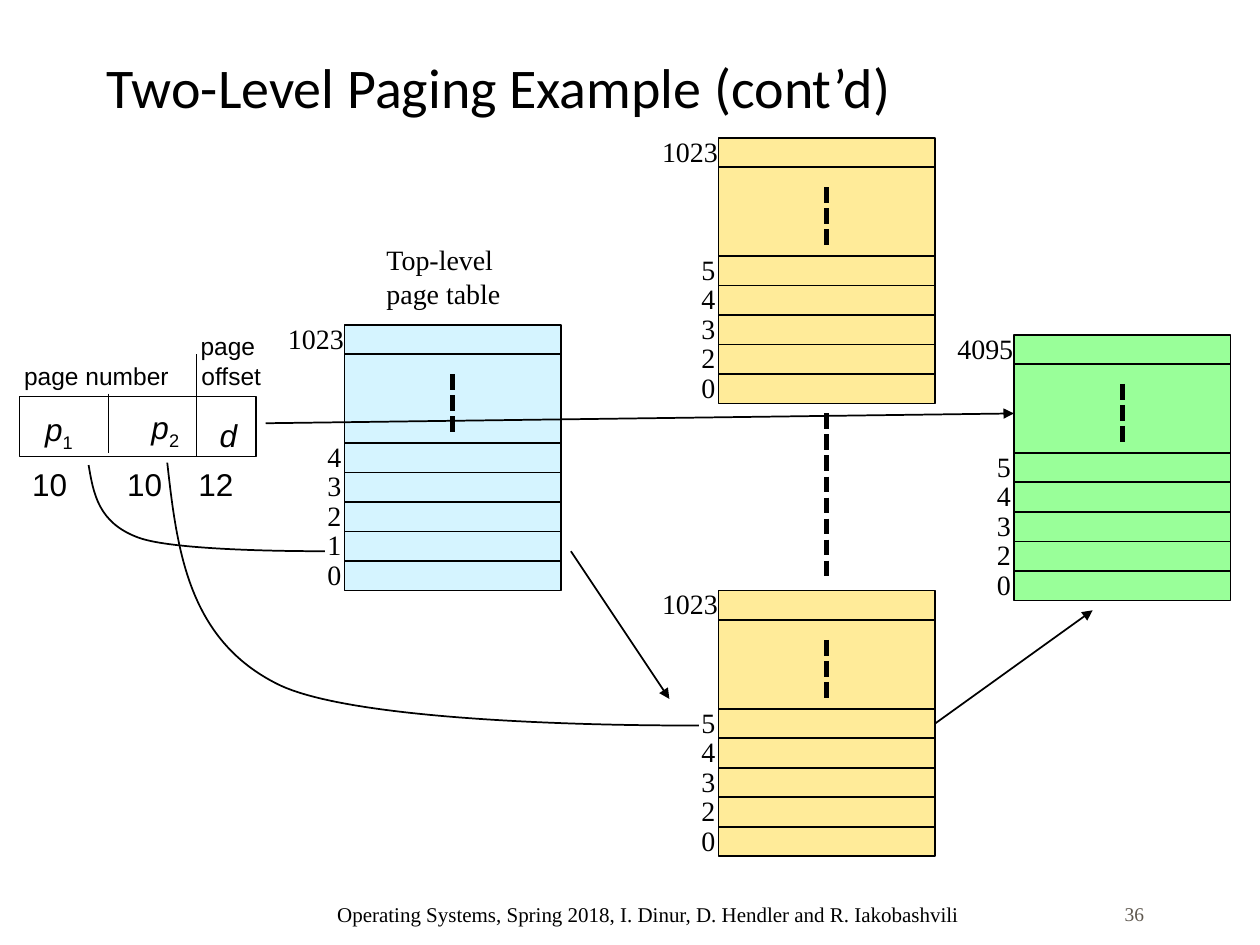
import pptx
import pptx.dml.color
import pptx.enum.dml
import pptx.enum.shapes
import pptx.enum.text
import pptx.oxml
import pptx.oxml.ns
import pptx.util

COLORS = {
    "ink": "000000", "paper": "FFFFFF", "number": "5E574E",
    "top": "D5F4FF", "second": "FFEB99", "frame": "99FF99",
}
COLS, ROWS = 128, 96
ALIGN = pptx.enum.text.PP_ALIGN
ANCHOR = pptx.enum.text.MSO_ANCHOR
qn = pptx.oxml.ns.qn


def rgb(name):
    return pptx.dml.color.RGBColor.from_string(COLORS[name])


def write(tf, text, size=16, font="Times New Roman", color="ink", italic=False,
          align=ALIGN.LEFT, spacing=None, sub=""):
    p = tf.paragraphs[0]
    p.alignment = align
    p.line_spacing = spacing
    for i, line in enumerate(text.split("\n")):
        if i:
            p.add_line_break()
        p.add_run().text = line
    if sub:
        r = p.add_run()
        r.text = sub
        r._r.get_or_add_rPr().set("baseline", "-25000")
    for r in p.runs:
        r.font.size = pptx.util.Pt(size)
        r.font.name = font
        r.font.color.rgb = rgb(color)
        r.font.italic = italic and r.text != sub


class Diagram:
    def __init__(self, prs):
        self.s = prs.slides.add_slide(prs.slide_layouts[6])
        self.shapes = self.s.shapes
        self.cw = prs.slide_width / COLS
        self.rh = prs.slide_height / ROWS

    def at(self, *lengths):
        return [round(v * (self.rh if i % 2 else self.cw)) for i, v in enumerate(lengths)]

    def outline(self, sp, width):
        sp.line.color.rgb = rgb("ink")
        sp.line.width = pptx.util.Pt(width)

    def text(self, x, y, w, h, text, anchor=ANCHOR.TOP, wrap=True, grow=True, **style):
        tf = self.shapes.add_textbox(*self.at(x, y, w, h)).text_frame
        tf.word_wrap = wrap
        tf.vertical_anchor = anchor
        if grow:
            tf.auto_size = pptx.enum.text.MSO_AUTO_SIZE.SHAPE_TO_FIT_TEXT
        write(tf, text, **style)

    def field(self, x, y, w, h, text, **style):
        self.text(x, y, w, h, text, anchor=ANCHOR.MIDDLE, font="Arial",
                  align=ALIGN.CENTER, **style)

    def box(self, x, y, w, h, fill, width=1):
        sp = self.shapes.add_shape(pptx.enum.shapes.MSO_SHAPE.RECTANGLE, *self.at(x, y, w, h))
        sp.shadow.inherit = False
        sp.fill.solid()
        sp.fill.fore_color.rgb = rgb(fill)
        self.outline(sp, width)

    def line(self, x1, y1, x2, y2, width=1, dashed=False, arrow=False):
        sp = self.shapes.add_connector(
            pptx.enum.shapes.MSO_CONNECTOR.STRAIGHT, *self.at(x1, y1, x2, y2))
        self.outline(sp, width)
        if dashed:
            sp.line.dash_style = pptx.enum.dml.MSO_LINE.SQUARE_DOT
        if arrow:
            tail = pptx.oxml.parse_xml(
                '<a:tailEnd xmlns:a="%s" type="triangle" w="med" len="med"/>'
                % pptx.oxml.ns.nsuri("a"))
            sp.line._get_or_add_ln().append(tail)
        sp._element.spPr.append(pptx.oxml.xmlchemy.OxmlElement("a:effectLst"))

    def curve(self, start, *points):
        builder = self.shapes.build_freeform(*self.at(*start))
        builder.add_line_segments([self.at(*pt) for pt in points], close=False)
        sp = builder.convert_to_shape()
        sp.shadow.inherit = False
        sp.fill.background()
        self.outline(sp, 1)
        segments = list(sp._element.iter(qn("a:lnTo")))
        for i in range(0, len(segments), 3):
            bezier = pptx.oxml.xmlchemy.OxmlElement("a:cubicBezTo")
            segments[i].addprevious(bezier)
            for segment in segments[i:i + 3]:
                bezier.append(segment[0])
                segment.getparent().remove(segment)

    def page_table(self, x, y, fill, last, entries, grouped=False):
        if grouped:
            self.shapes = self.s.shapes.add_group_shape().shapes
        self.box(x, y, 22, 27, fill)
        for row in (8, 7, 6, 5, 4, 1):
            self.line(x, y + 3 * row, x + 22, y + 3 * row)
        self.line(x + 11, y + 5, x + 11, y + 11, width=3, dashed=True)
        for i, entry in enumerate(entries):
            self.text(x - 3, y + 23 - 3 * i, 7, 4.75, entry)
        self.text(x - 7, y - 1, 9, 4.75, last)
        self.shapes = self.s.shapes


def main():
    prs = pptx.Presentation()
    prs.slide_width = pptx.util.Inches(10)
    prs.slide_height = pptx.util.Inches(7.5)
    d = Diagram(prs)

    d.text(9.6, 5.4, 108.8, 7.4, "Two-Level Paging Example (cont’d)", size=32,
           font="Calibri", anchor=ANCHOR.BOTTOM, grow=False)

    d.box(2, 40.3, 24, 6.1, "paper", width=0.75)
    d.line(20, 36, 20, 46.4, width=0.75)
    d.field(1.15, 36, 17.3, 4.35, "page number", size=14, wrap=False)
    d.field(19.1, 33, 8.8, 7.3, "page \noffset", size=14, wrap=False)
    for x, y, w, h, name, sub in ((3.3, 41, 5.4, 5.6, "p", "1"),
                                  (14.1, 40.8, 5.4, 5.6, "p", "2"),
                                  (21, 41.6, 4.4, 5.1, "d", "")):
        d.field(x, y, w, h, name, sub=sub, size=18, italic=True, wrap=False)
    for x, bits in ((2, "10"), (11.65, "10"), (18.9, "12")):
        d.field(x, 46.6, 6.1, 5.1, bits, size=18)
    d.line(11, 40, 11, 46, width=0.75)

    d.text(38, 24, 16, 8.2, "Top-level \npage table")
    d.page_table(35, 33, "top", "1023", "01234")
    for y in (14, 60):
        d.page_table(73, y, "second", "1023", "02345", grouped=True)
    d.line(84, 42, 84, 59, width=3, dashed=True)

    d.curve((9, 47.25), (9.5, 50.2), (10, 53.1), (14, 54.6),
            (17.9, 56.1), (33, 56), (33, 56))
    d.line(58, 56, 68, 71, arrow=True)
    d.curve((17, 47), (18, 56.1), (19.2, 65), (28.2, 69.5),
            (37.2, 74), (71, 73.7), (71, 73.7))
    d.page_table(103, 34, "frame", "4095", "02345")
    d.line(95, 73.5, 111, 62, arrow=True)
    d.line(27, 43, 103, 42, arrow=True)

    d.text(113, 91.25, 10.75, 3.85, "36", size=11.1, color="number",
           align=ALIGN.JUSTIFY, spacing=0.9, grow=False)
    d.text(33, 91, 77.4, 5, "Operating Systems, Spring 2018, I. Dinur, D. Hendler and R. Iakobashvili",
           size=12, grow=False)
    prs.save("out.pptx")


if __name__ == "__main__":
    main()
